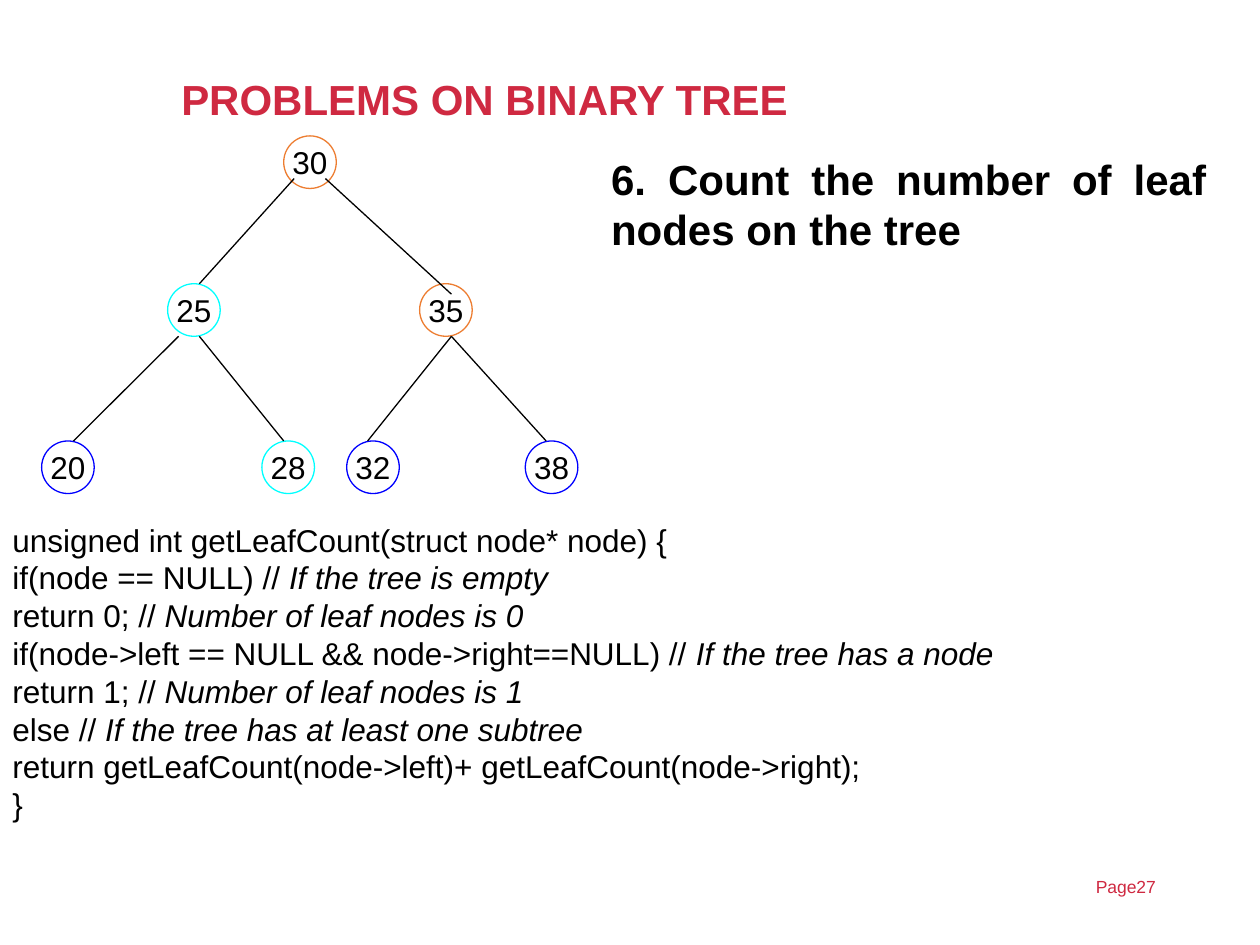
from typing import NamedTuple

from lxml.etree import SubElement
from pptx import Presentation
from pptx.dml.color import RGBColor
from pptx.enum.shapes import MSO_CONNECTOR as Connector, MSO_SHAPE as Shape
from pptx.enum.text import MSO_ANCHOR as Anchor, MSO_AUTO_SIZE as AutoSize, PP_ALIGN as Align
from pptx.oxml.ns import qn
from pptx.util import Cm, Pt

COLORS = {
    "crimson": "CF2941",
    "black": "000000",
    "orange": "ED7D31",
    "cyan": "00FFFF",
    "blue": "0000FF",
}
FONT = "Arial"
NODE_SIZE = 1.06
ROOT_TOP, CHILD_TOP, LEAF_TOP = 2.74, 5.72, 8.89


class Node(NamedTuple):
    label: str
    left: float
    top: float
    color: str


class Edge(NamedTuple):
    start: tuple[float, float]
    end: tuple[float, float]


class CodeLine(NamedTuple):
    code: str
    comment: str = ""


NODES = [
    Node("30", 5.72, ROOT_TOP, "orange"),
    Node("25", 3.38, CHILD_TOP, "cyan"),
    Node("35", 8.46, CHILD_TOP, "orange"),
    Node("20", 0.84, LEAF_TOP, "blue"),
    Node("28", 5.28, LEAF_TOP, "cyan"),
    Node("32", 6.99, LEAF_TOP, "blue"),
    Node("38", 10.59, LEAF_TOP, "blue"),
]
CHILD_BOTTOM = CHILD_TOP + NODE_SIZE
EDGES = [
    Edge((5.93, 3.6), (4.02, CHILD_TOP)),
    Edge((6.56, 3.6), (9.1, 5.93)),
    Edge((3.6, CHILD_BOTTOM), (1.48, LEAF_TOP)),
    Edge((4.02, CHILD_BOTTOM), (5.72, LEAF_TOP)),
    Edge((9.1, CHILD_BOTTOM), (7.41, LEAF_TOP)),
    Edge((9.1, CHILD_BOTTOM), (11.01, LEAF_TOP)),
]
CODE = [
    CodeLine("unsigned int getLeafCount(struct node* node) {"),
    CodeLine("if(node == NULL) // ", "If the tree is empty"),
    CodeLine("return 0; // ", "Number of leaf nodes is 0"),
    CodeLine("if(node->left == NULL && node->right==NULL) // ", "If the tree has a node"),
    CodeLine("return 1; // ", "Number of leaf nodes is 1"),
    CodeLine("else // ", "If the tree has at least one subtree"),
    CodeLine("return getLeafCount(node->left)+ getLeafCount(node->right);"),
    CodeLine("}"),
]


def rgb(name: str) -> RGBColor:
    return RGBColor.from_string(COLORS[name])


def set_font(paragraph, size: float, color: str = "black", bold: bool = False) -> None:
    font = paragraph.font
    font.name, font.size, font.bold = FONT, Pt(size), bold
    font.color.rgb = rgb(color)


def add_text_frame(slide, left: float, top: float, width: float, height: float):
    frame = slide.shapes.add_textbox(Cm(left), Cm(top), Cm(width), Cm(height)).text_frame
    frame.word_wrap = True
    return frame


def draw_node(slide, node: Node) -> None:
    shape = slide.shapes.add_shape(
        Shape.OVAL, Cm(node.left), Cm(node.top), Cm(NODE_SIZE), Cm(NODE_SIZE))
    shape.shadow.inherit = False
    shape.fill.background()
    shape.line.color.rgb = rgb(node.color)
    shape.line.width = Pt(0.75)
    frame = shape.text_frame
    frame.word_wrap = False
    frame.vertical_anchor = Anchor.MIDDLE
    paragraph = frame.paragraphs[0]
    paragraph.text = node.label
    paragraph.alignment = Align.CENTER
    set_font(paragraph, 18)


def draw_edge(slide, edge: Edge) -> None:
    points = [Cm(value) for value in edge.start + edge.end]
    connector = slide.shapes.add_connector(Connector.STRAIGHT, *points)
    connector.line.color.rgb = rgb("black")
    connector.line.width = Pt(0.75)
    SubElement(connector._element.spPr, qn("a:effectLst"))


def draw_code(slide, lines: list[CodeLine]) -> None:
    frame = add_text_frame(slide, 0, 10.37, 24.56, 7.2)
    for index, line in enumerate(lines):
        paragraph = frame.add_paragraph() if index else frame.paragraphs[0]
        set_font(paragraph, 18)
        paragraph.add_run().text = line.code
        if line.comment:
            run = paragraph.add_run()
            run.text = line.comment
            run.font.italic = True


def main() -> None:
    presentation = Presentation()
    presentation.slide_width, presentation.slide_height = Cm(25.4), Cm(19.05)
    slide = presentation.slides.add_slide(presentation.slide_layouts[5])

    # Title
    title = slide.shapes.title
    title.left, title.top, title.width, title.height = Cm(3.4), Cm(1.02), Cm(20.27), Cm(2.08)
    title.text_frame.auto_size = AutoSize.NONE
    title.text_frame.vertical_anchor = Anchor.MIDDLE
    paragraph = title.text_frame.paragraphs[0]
    paragraph.text = "PROBLEMS ON BINARY TREE"
    paragraph.alignment = Align.LEFT
    paragraph.line_spacing = 0.9
    set_font(paragraph, 24, "crimson", bold=True)

    # Problem statement
    paragraph = add_text_frame(slide, 12.07, 2.97, 12.5, 1.3).paragraphs[0]
    paragraph.text = "6. Count the number of leaf nodes on the tree"
    paragraph.alignment = Align.JUSTIFY
    paragraph.space_before = Pt(6)
    set_font(paragraph, 24, bold=True)

    # Binary tree
    for node in NODES:
        draw_node(slide, node)
    for edge in EDGES:
        draw_edge(slide, edge)

    # Leaf counting function
    draw_code(slide, CODE)

    # Page number
    paragraph = add_text_frame(slide, 21.84, 17.53, 3.05, 0.71).paragraphs[0]
    paragraph.text = "Page27"
    set_font(paragraph, 10, "crimson")

    presentation.save("out.pptx")


if __name__ == "__main__":
    main()
